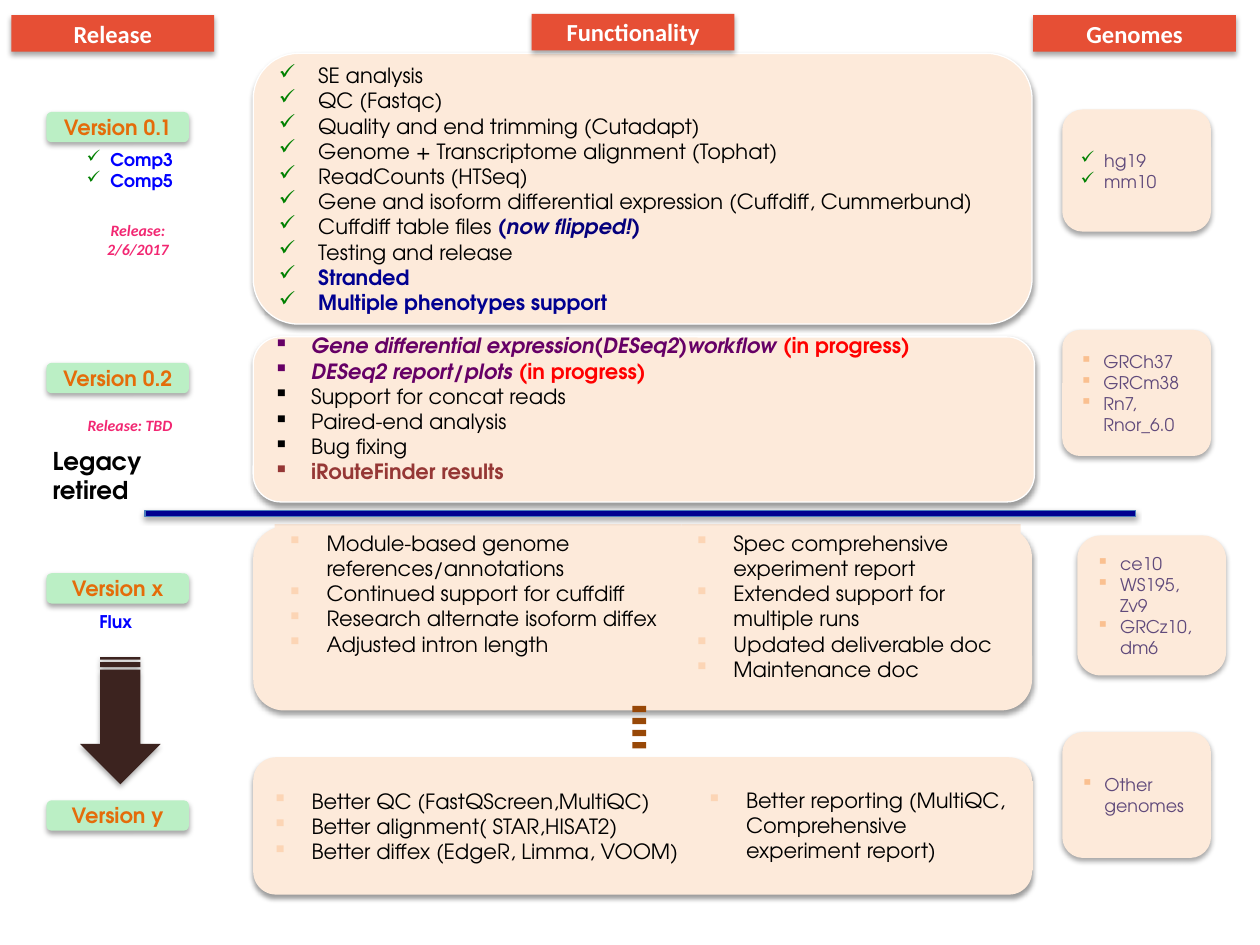
from lxml import etree
from pptx import Presentation
from pptx import util as u
from pptx.dml.color import RGBColor
from pptx.enum import shapes, text
from pptx.oxml import ns

COLORS = {
    "header": "E64F35", "mint": "BBEFC5", "cream": "FDEADA", "orange": "E46C0A",
    "white": "FFFFFF", "black": "000000", "green": "008000", "purple": "660066",
    "red": "FF0000", "flipped": "05007C", "navy": "000090", "blue": "0000FF",
    "maroon": "953735", "violet": "604A7B", "peach": "FAC090", "pale": "FCD5B5",
    "brown": "984807", "arrow": "3C231F", "pink": "F22772", "edge": "4B7EBC",
}
SANS, HEAD = "TeX Gyre Adventor", "Calibri"
CHECK, SQUARE = "✓", "▪"
CARD_X, CARD_W = 144.7, 445
GENOME_X, GENOME_W = 607, 85
RELEASE_X, RELEASE_W = 26.6, 81.4
SHAPE, ALIGN, ANCHOR = shapes.MSO_SHAPE, text.PP_ALIGN, text.MSO_ANCHOR


def color(name):
    return RGBColor.from_string(COLORS[name])


def add_run(p, words, size=12, font=SANS, fill="black", bold=False, italic=False):
    r = p.add_run()
    r.text = words
    f = r.font
    f.size, f.name, f.bold, f.italic = u.Pt(size), font, bold, italic
    f.color.rgb = color(fill)


def sub(parent, tag, **attrs):
    return etree.SubElement(parent, ns.qn(tag), attrs)


class Board:
    """Holds the slide and its style; lengths are in points."""

    def __init__(self, slide):
        self.slide = slide

    def shape(self, kind, x, y, w, h, fill, line=None, shadow=None):
        """Add a filled shape; shadow is its opacity in percent."""
        sp = self.slide.shapes.add_shape(kind, *map(u.Pt, (x, y, w, h)))
        sp.fill.solid()
        sp.fill.fore_color.rgb = color(fill)
        if line:
            sp.line.color.rgb = color(line)
            sp.line.width = u.Pt(0.75)
        else:
            sp.line.fill.background()
        sp.shadow.inherit = False
        if shadow:
            effects = sp._element.spPr.find(ns.qn("a:effectLst"))
            outer = sub(effects, "a:outerShdw", blurRad=str(u.Pt(3.1)),
                        dist=str(u.Pt(1.8)), dir="5400000", rotWithShape="0")
            sub(sub(outer, "a:srgbClr", val=COLORS["black"]),
                "a:alpha", val=str(shadow * 1000))
        return sp

    def box(self, x, y, w, h):
        sp = self.slide.shapes.add_textbox(*map(u.Pt, (x, y, w, h)))
        sp.text_frame.word_wrap = True
        return sp

    def lines(self, sp, items, align=ALIGN.LEFT, bullet=None, bullet_fill="black",
              indent=22.5, **fmt):
        """Write one paragraph per item: a string, or a list of (words, format) runs."""
        tf = sp.text_frame
        for i, item in enumerate(items):
            p = tf.paragraphs[0] if i == 0 else tf.add_paragraph()
            p.alignment = align
            runs = [(item, {})] if isinstance(item, str) else item
            if bullet:
                pPr = p._p.get_or_add_pPr()
                pPr.set("marL", str(u.Pt(indent)))
                pPr.set("indent", str(-u.Pt(indent)))
                mark = bullet_fill or runs[0][1].get("fill", "black")
                sub(sub(pPr, "a:buClr"), "a:srgbClr", val=COLORS[mark])
                sub(pPr, "a:buChar", char=bullet)
            for words, own in runs:
                add_run(p, words, **{**fmt, **own})

    def header(self, x, y, title):
        sp = self.shape(SHAPE.RECTANGLE, x, y, 115.9, 20.9, "header", shadow=35)
        self.lines(sp, [title], ALIGN.CENTER, size=14, font=HEAD, fill="white", bold=True)

    def version(self, y, name):
        sp = self.shape(SHAPE.ROUNDED_RECTANGLE, RELEASE_X, y, RELEASE_W, 17.3,
                        "mint", shadow=35)
        self.lines(sp, [name], ALIGN.CENTER, fill="orange", bold=True)

    def card(self, y, h, line=None, w=CARD_W):
        return self.shape(SHAPE.ROUNDED_RECTANGLE, CARD_X, y, w, h, "cream", line, 38)

    def genomes(self, y, h, names, x=GENOME_X, bullet=SQUARE, bullet_fill="peach"):
        sp = self.shape(SHAPE.ROUNDED_RECTANGLE, x, y, GENOME_W, h, "cream", shadow=35)
        self.lines(sp, names, bullet=bullet, bullet_fill=bullet_fill, indent=13.5,
                   size=10, fill="violet")
        return sp

    def plans(self, x, y, w, h, items):
        sp = self.shape(SHAPE.RECTANGLE, x, y, w, h, "cream")
        sp.text_frame.vertical_anchor = ANCHOR.TOP
        self.lines(sp, items, bullet=SQUARE, bullet_fill="pale")

    def release_date(self, x, y, w, h, items):
        self.lines(self.box(x, y, w, h), items, ALIGN.CENTER, size=9, font=HEAD,
                   fill="pink", bold=True, italic=True)


def main():
    prs = Presentation()
    prs.slide_width, prs.slide_height = u.Pt(720), u.Pt(540)
    b = Board(prs.slides.add_slide(prs.slide_layouts[6]))

    for y, name in ((64, "Version 0.1"), (207.4, "Version 0.2"),
                    (327.6, "Version x"), (457.4, "Version y")):
        b.version(y, name)

    strong = dict(fill="navy", bold=True)
    flipped = dict(fill="flipped", bold=True)
    b.lines(b.card(30.5, 154.7, "white"), [
        "SE analysis",
        "QC (Fastqc)",
        "Quality and end trimming (Cutadapt)",
        "Genome + Transcriptome alignment (Tophat)",
        "ReadCounts (HTSeq)",
        "Gene and isoform differential expression (Cuffdiff, Cummerbund)",
        [("Cuffdiff table files ", {}), ("(", flipped),
         ("now flipped!", dict(flipped, italic=True)), (")", flipped)],
        "Testing and release",
        [("Stranded", strong)],
        [("Multiple phenotypes support", strong)],
    ], bullet=CHECK, bullet_fill="green")

    planned = dict(fill="purple", bold=True, italic=True)
    progress = ("(in progress)", dict(fill="red", bold=True))
    card = b.card(192.5, 94.3, "white", w=446.4)
    card.text_frame.margin_bottom = u.Pt(16)
    b.lines(card, [
        [("Gene differential expression(DESeq2)workflow ", planned), progress],
        [("DESeq2 report/plots ", planned), progress],
        "Support for concat reads",
        "Paired-end analysis",
        "Bug fixing",
        [("iRouteFinder results", dict(fill="maroon", bold=True))],
    ], bullet=SQUARE, bullet_fill=None, indent=21.5)

    b.card(301, 105)
    b.lines(b.card(432.7, 78.5), [
        "Better QC (FastQScreen,MultiQC)",
        "Better alignment( STAR,HISAT2)",
        "Better diffex (EdgeR, Limma, VOOM)",
    ], bullet=SQUARE, bullet_fill="pale")
    b.plans(396.7, 446.4, 193.7, 51,
            ["Better reporting (MultiQC, Comprehensive experiment report)"])
    b.plans(389.5, 299.5, 193.7, 94.3, [
        "Spec comprehensive experiment report", "Extended support for multiple runs",
        "Updated deliverable doc", "Maintenance doc"])
    b.plans(157, 299.5, 232.5, 80, [
        "Module-based genome references/annotations", "Continued support for cuffdiff",
        "Research alternate isoform diffex", "Adjusted intron length"])

    b.genomes(62.6, 69.8, ["hg19", "mm10"], bullet=CHECK, bullet_fill="green")
    b.genomes(188.6, 72, ["GRCh37", "GRCm38", "Rn7, Rnor_6.0"]).adjustments[0] = 0.14
    b.genomes(306, 80, ["ce10", "WS195, Zv9", "GRCz10, dm6"], x=615.6)
    b.genomes(418.3, 72, ["Other genomes"])

    b.shape(SHAPE.STRIPED_RIGHT_ARROW, 32.4, 388.8, 72.7, 46, "arrow",
            shadow=35).rotation = 90
    b.shape(SHAPE.RECTANGLE, 82.8, 291.6, 566, 3.6, "navy", "edge", 35)
    for i in range(4):
        b.shape(SHAPE.RECTANGLE, 361.4, 403.3 + 6.9 * i, 7.9, 3.6, "brown")

    for x, y, title in ((6.5, 8.6, "Release"), (303.8, 7.9, "Functionality"),
                        (590.4, 8.6, "Genomes")):
        b.header(x, y, title)

    b.lines(b.box(23, 251.3, 70.6, 41), ["Legacy retired"], size=14, bold=True)
    b.lines(b.box(42.5, 81.4, 76.3, 31.7), ["Comp3", "Comp5"], bullet=CHECK,
            bullet_fill="green", indent=13.5, size=10, fill="blue", bold=True)
    b.lines(b.box(49.7, 345.6, 44.6, 19.4), ["Flux"], size=10, fill="blue", bold=True)
    b.release_date(23, 122.4, 111.6, 28.8, ["Release:", "2/6/2017"])
    b.release_date(13.7, 234, 121, 18, ["Release: TBD"])

    prs.save("out.pptx")


if __name__ == "__main__":
    main()
